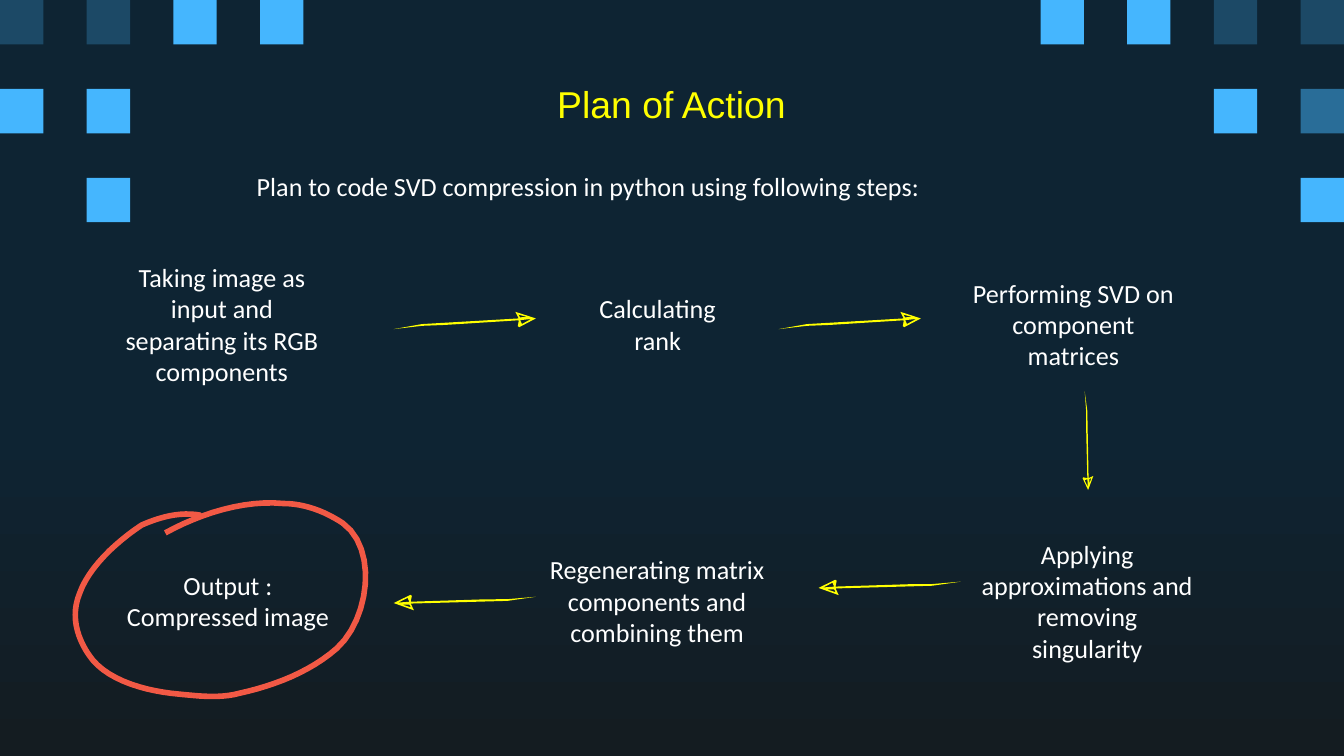
from pptx import Presentation
from pptx.dml.color import RGBColor
from pptx.enum.shapes import MSO_SHAPE
from pptx.enum.text import MSO_ANCHOR, MSO_AUTO_SIZE, PP_ALIGN
from pptx.util import Inches, Pt

WIDTH, HEIGHT = Inches(10), Inches(5.625)
COLUMN, ROW = WIDTH / 15.5, HEIGHT / 8.5
NAVY = RGBColor(0x0E, 0x24, 0x33)
CHARCOAL = RGBColor(0x14, 0x1C, 0x21)
BRIGHT = RGBColor(0x45, 0xB6, 0xFE)
MEDIUM = RGBColor(0x29, 0x6D, 0x98)
DIM = RGBColor(0x1C, 0x49, 0x66)
YELLOW = RGBColor(0xFF, 0xFF, 0x00)
WHITE = RGBColor(0xFF, 0xFF, 0xFF)
CORAL = RGBColor(0xF2, 0x59, 0x45)

SQUARES = {
    DIM: [(0, 0), (1, 0), (14, 0), (15, 0)],
    MEDIUM: [(15, 1)],
    BRIGHT: [(2, 0), (3, 0), (12, 0), (13, 0), (0, 1), (1, 1), (14, 1), (1, 2), (15, 2)],
}
STEPS = [
    ("Taking image as input and separating its RGB components", (1.01, 2.98, 3.1, 1.33)),
    ("Calculating rank", (6.4, 2.98, 2.37, 1.33)),
    ("Performing SVD on component matrices", (10.83, 2.98, 3.1, 1.33)),
    ("Applying approximations and removing singularity", (10.99, 6.09, 3.1, 1.33)),
    ("Regenerating matrix components and combining them", (6.03, 6.09, 3.1, 1.33)),
    ("Output :\nCompressed image", (1.08, 6.09, 3.1, 1.33)),
]
ARROWS = [
    ((4.54, 3.7), (6.18, 3.58)),
    ((8.98, 3.7), (10.62, 3.58)),
    ((12.51, 4.4), (12.55, 5.51)),
    ((11.08, 6.54), (9.44, 6.61)),
    ((6.18, 6.71), (4.54, 6.78)),
]
ARROW_CONTOURS = [
    [(0, 0), (0.2, -0.02), (0.57, -0.014), (0.88, -0.009), (0.86, -0.057),
     (1, 0), (0.88, 0.052), (0.87, 0.045), (0.88, 0.004), (0.36, -0.002), (0.2, -0.008)],
    [(0.94, -0.014), (0.89, -0.016), (0.88, -0.036)],
    [(0.97, 0), (0.9, 0.032), (0.89, 0.004), (0.95, 0.002)],
]
LOOP_START = (0.31, 0.16)
LOOP_CURVES = [
    [(0.43, 0.06), (0.58, -0.01), (0.71, 0.01)],
    [(0.78, 0.01), (0.85, 0.05), (0.91, 0.11)],
    [(1.03, 0.24), (1, 0.6), (0.89, 0.75)],
    [(0.8, 0.87), (0.68, 0.94), (0.56, 0.98)],
    [(0.49, 1.01), (0.4, 0.99), (0.33, 0.98)],
    [(0.22, 0.96), (0.1, 0.9), (0.05, 0.78)],
    [(0.01, 0.69), (-0.01, 0.58), (0.02, 0.47)],
    [(0.05, 0.34), (0.14, 0.21), (0.23, 0.12)],
    [(0.29, 0.08), (0.36, 0.05), (0.43, 0.07)],
]


def grid(column, row):
    """Turn a grid position or size into slide lengths."""
    return round(column * COLUMN), round(row * ROW)


def set_format(target, values):
    """Set each attribute named in a dict of format values."""
    for name, value in values.items():
        setattr(target, name, value)


def paint(shape, color):
    """Fill a shape with one colour, without line or shadow."""
    shape.shadow.inherit = False
    shape.fill.solid()
    shape.fill.fore_color.rgb = color
    shape.line.fill.background()


def write_text(shape, text, box, font, color, inset):
    """Place a text shape in its grid box and write centred text."""
    left, top = grid(*box[:2])
    width, height = grid(*box[2:])
    set_format(shape, {"left": left, "top": top, "width": width, "height": height})
    frame = shape.text_frame
    frame.text = text
    set_format(frame, {
        "word_wrap": True, "auto_size": MSO_AUTO_SIZE.NONE, "vertical_anchor": MSO_ANCHOR.MIDDLE,
        "margin_left": inset, "margin_right": inset, "margin_top": inset, "margin_bottom": inset,
    })
    for paragraph in frame.paragraphs:
        set_format(paragraph, {"alignment": PP_ALIGN.CENTER, "space_before": Pt(0)})
        for run in paragraph.runs:
            set_format(run.font, font)
            run.font.color.rgb = color


def draw_background(slide):
    """Shade the slide from navy down to charcoal."""
    fill = slide.background.fill
    fill.gradient()
    fill.gradient_angle = 270
    for stop, position, color in zip(fill.gradient_stops, (0.56, 1), (NAVY, CHARCOAL)):
        stop.position = position
        stop.color.rgb = color


def draw_squares(slide):
    """Scatter half-cell squares over the top corners of the grid."""
    for color, cells in SQUARES.items():
        for cell in cells:
            square = slide.shapes.add_shape(MSO_SHAPE.RECTANGLE, *grid(*cell), *grid(0.5, 0.5))
            paint(square, color)


def draw_arrow(slide, tail, tip):
    """Draw a tapered arrow with an open head between two grid points."""
    (x, y), (tip_x, tip_y) = grid(*tail), grid(*tip)
    run, rise = tip_x - x, tip_y - y
    contours = [
        [(x + along * run - across * rise, y + along * rise + across * run)
         for along, across in contour]
        for contour in ARROW_CONTOURS
    ]
    builder = slide.shapes.build_freeform(*contours[0][0])
    builder.add_line_segments(contours[0][1:])
    for contour in contours[1:]:
        builder.move_to(*contour[0])
        builder.add_line_segments(contour[1:])
    paint(builder.convert_to_shape(), YELLOW)


def curve_points(start, curves, steps=12):
    """Sample a chain of cubic curves."""
    points = [start]
    for first, second, end in curves:
        for step in range(1, steps + 1):
            t = step / steps
            weights = ((1 - t) ** 3, 3 * t * (1 - t) ** 2, 3 * t ** 2 * (1 - t), t ** 3)
            corners = (start, first, second, end)
            points.append(tuple(
                sum(weight * corner[axis] for weight, corner in zip(weights, corners))
                for axis in range(2)
            ))
        start = end
    return points


def draw_loop(slide, box):
    """Circle the result with a hand-drawn loop inside a grid box."""
    column, row, columns, rows = box
    points = [
        grid(column + x * columns, row + y * rows)
        for x, y in curve_points(LOOP_START, LOOP_CURVES)
    ]
    builder = slide.shapes.build_freeform(*points[0])
    builder.add_line_segments(points[1:], close=False)
    loop = builder.convert_to_shape()
    loop.shadow.inherit = False
    loop.fill.background()
    loop.line.color.rgb = CORAL
    loop.line.width = Pt(3)


def build_plan_slide(presentation):
    """Build the plan of action with its six connected steps."""
    slide = presentation.slides.add_slide(presentation.slide_layouts[0])
    draw_background(slide)
    draw_squares(slide)
    body_font = {"name": "Calibri", "size": Pt(14)}
    write_text(slide.shapes.title, "Plan of Action", (1.21, 0.89, 13.07, 0.54),
               {"name": "Arial", "size": Pt(20)}, YELLOW, Inches(0.1))
    write_text(slide.placeholders[1],
               "Plan to code SVD compression in python using following steps:",
               (1.21, 1.43, 11.15, 1.33), body_font, WHITE, Inches(0.2))
    for text, box in STEPS:
        write_text(slide.shapes.add_textbox(0, 0, 0, 0), text, box, body_font, WHITE, Inches(0.2))
    for tail, tip in ARROWS:
        draw_arrow(slide, tail, tip)
    draw_loop(slide, (0.85, 5.64, 3.41, 2.2))


def main():
    """Create and save the presentation."""
    presentation = Presentation()
    set_format(presentation, {"slide_width": WIDTH, "slide_height": HEIGHT})
    build_plan_slide(presentation)
    presentation.save("out.pptx")


if __name__ == "__main__":
    main()
